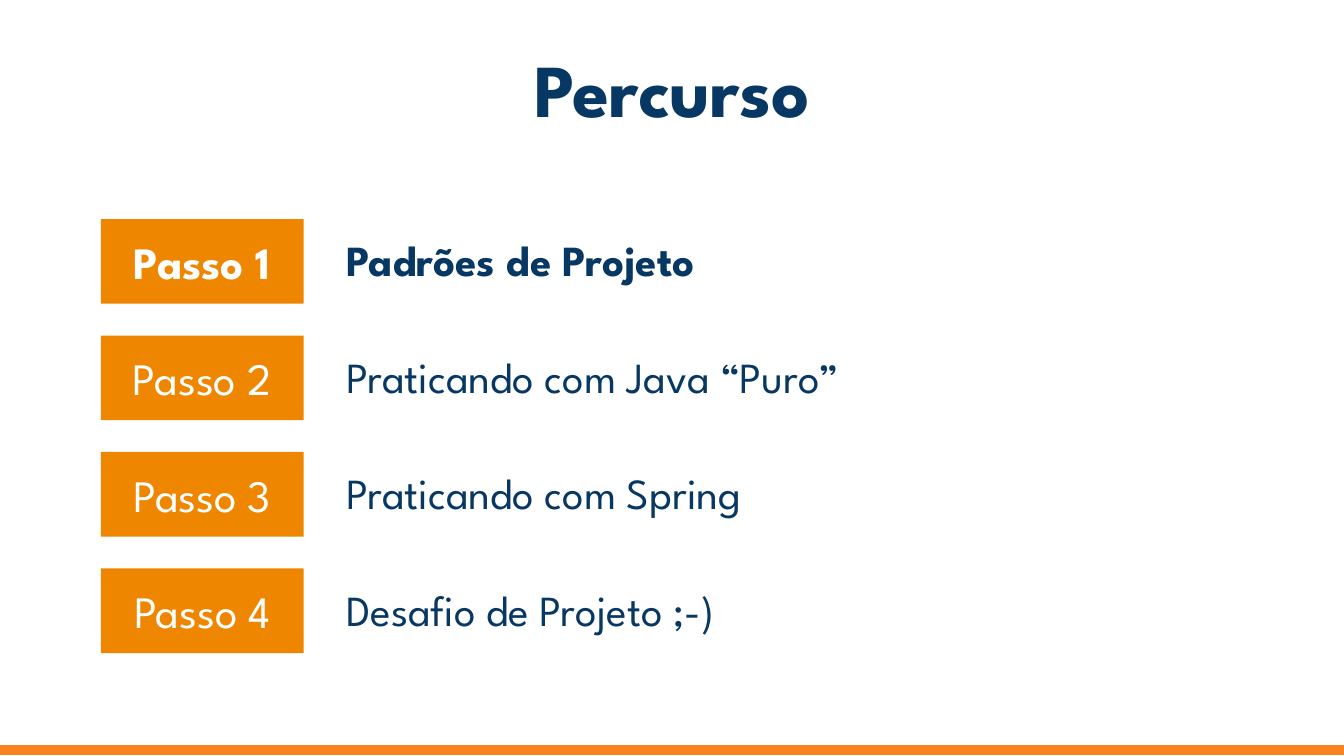
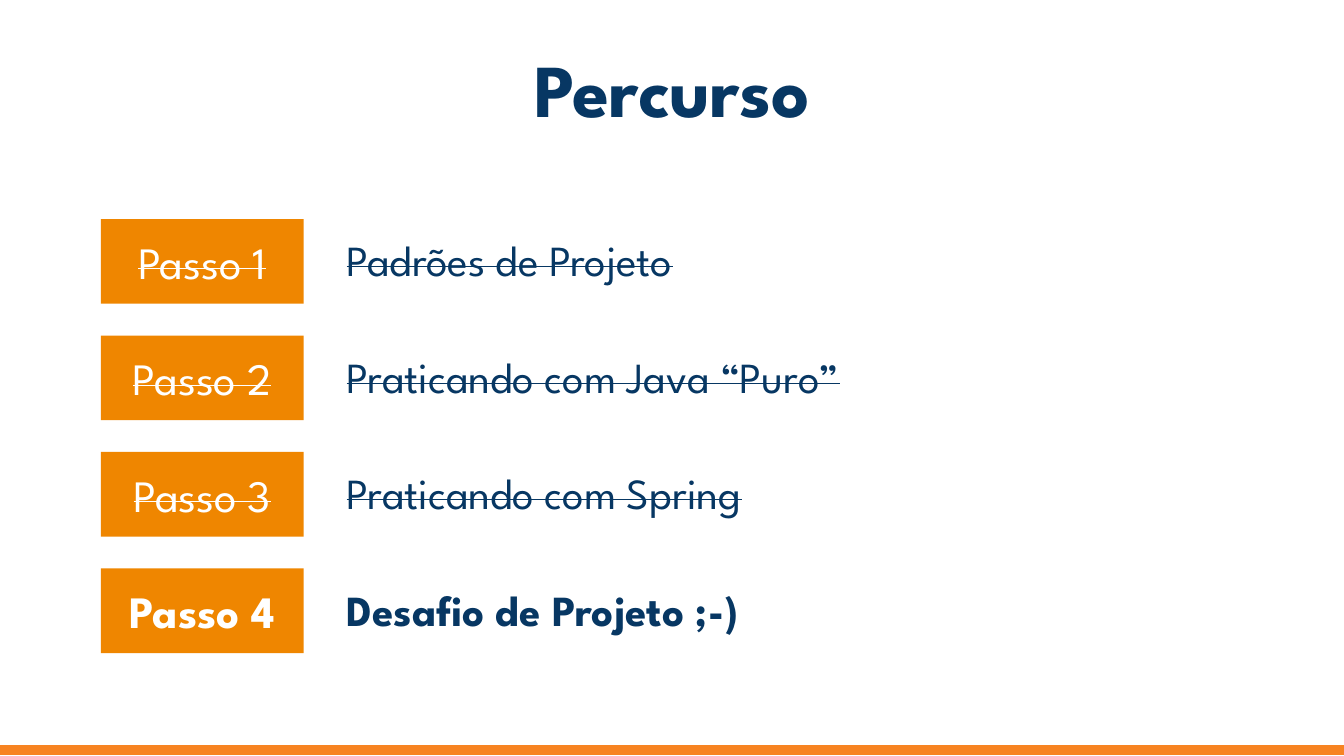
from pptx import Presentation
from pptx.dml.color import RGBColor
from pptx.enum.shapes import MSO_SHAPE as Shape
from pptx.enum.text import MSO_ANCHOR as Anchor, MSO_AUTO_SIZE as AutoSize, PP_ALIGN as Align
from pptx.util import Inches, Pt

FONT = "League Spartan"
NAVY, WHITE, ORANGE, FOOTER_ORANGE = "073763", "FFFFFF", "EF8600", "F78321"
STEPS = ["Padrões de Projeto", "Praticando com Java “Puro”",
         "Praticando com Spring", "Desafio de Projeto ;-)"]
FIRST_TOP, STEP_PITCH = 1.63, 2.6 / 3


def color(value):
    return RGBColor.from_string(value)


class Deck:
    """Holds the shared style and the slide being built."""

    def __init__(self):
        self.prs = Presentation()
        self.prs.slide_width, self.prs.slide_height = Inches(10), Inches(5.625)
        self.slide = None

    def new_slide(self, heading):
        self.slide = self.prs.slides.add_slide(self.prs.slide_layouts[5])
        background = self.slide.background.fill
        background.solid()
        background.fore_color.rgb = color(WHITE)
        title = self.slide.shapes.title
        title.left, title.top, title.width, title.height = map(Inches, (0.34, 0.33, 9.32, 0.65))
        self.set_text(title, heading, 40, NAVY, bold=True, align=Align.CENTER)
        self.bar(0, 5.55, 10, 0.06, FOOTER_ORANGE, outlined=True)

    def bar(self, left, top, width, height, fill, outlined=False):
        bar = self.slide.shapes.add_shape(
            Shape.RECTANGLE, *map(Inches, (left, top, width, height)))
        bar.shadow.inherit = False
        bar.fill.solid()
        bar.fill.fore_color.rgb = color(fill)
        if outlined:
            bar.line.color.rgb = color(fill)
            bar.line.width = Pt(0.75)
        else:
            bar.line.fill.background()
        return bar

    def set_text(self, holder, text, size, ink, bold=False, strike=False,
                 align=Align.LEFT, anchor=Anchor.MIDDLE, inset=0.1):
        frame = holder.text_frame
        frame.word_wrap, frame.auto_size = True, AutoSize.NONE
        frame.vertical_anchor = anchor
        frame.margin_left = frame.margin_right = Inches(0.1)
        frame.margin_top = frame.margin_bottom = Inches(inset)
        paragraph = frame.paragraphs[0]
        paragraph.alignment = align
        font = paragraph.font
        font.name, font.size, font.bold = FONT, Pt(size), bold
        font.color.rgb = color(ink)
        run = paragraph.add_run()
        run.text = text
        if strike:
            run._r.get_or_add_rPr().set("strike", "sngStrike")
        return paragraph

    def step(self, number, topic, bold, strike):
        top = FIRST_TOP + (number - 1) * STEP_PITCH
        badge = self.bar(0.75, top, 1.51, 0.63, ORANGE)
        self.set_text(badge, f"Passo {number}", 24, WHITE, bold, strike, Align.CENTER)
        label = self.slide.shapes.add_textbox(*map(Inches, (2.48, top + 0.06, 7.18, 0.5)))
        paragraph = self.set_text(label, topic, 23, NAVY, bold, strike,
                                  anchor=Anchor.TOP, inset=0.05)
        properties = paragraph._p.get_or_add_pPr()
        properties.set("marL", str(Inches(0.5)))
        properties.set("indent", str(Inches(-0.5)))

    def roadmap(self, current):
        self.new_slide("Percurso")
        for number, topic in enumerate(STEPS, 1):
            self.step(number, topic, bold=number == current, strike=number < current)


def main():
    deck = Deck()
    for current in (1, 4):
        deck.roadmap(current)
    deck.prs.save("out.pptx")


if __name__ == "__main__":
    main()
